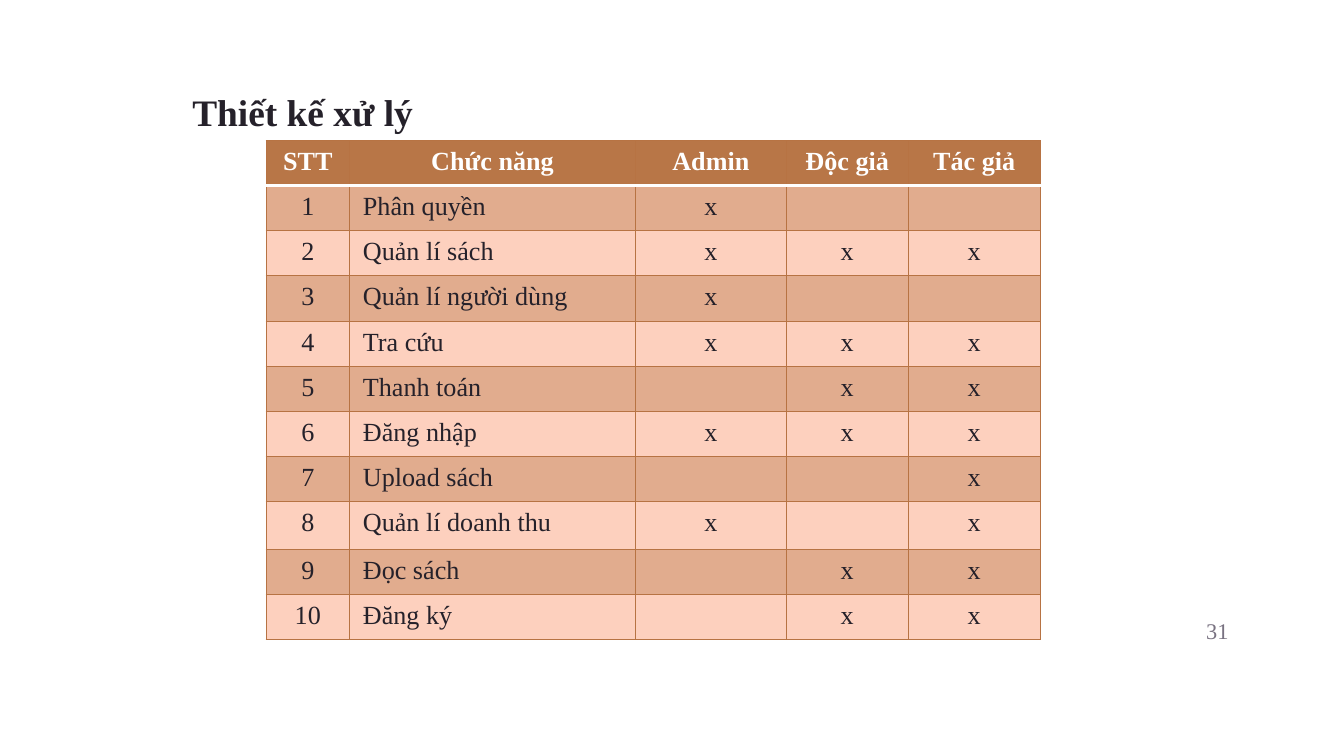
from dataclasses import dataclass

from lxml import etree
from pptx import Presentation
from pptx.dml.color import RGBColor
from pptx.enum import text
from pptx.oxml import ns
from pptx.util import Pt


@dataclass(frozen=True)
class Theme:
    face: str = "Times New Roman"
    ink: str = "25212A"
    grey: str = "797281"
    white: str = "FFFFFF"
    head: str = "B87647"
    dark: str = "E1AC8E"
    light: str = "FDD0BE"
    edge: str = "B77343"
    title: int = 20
    body: int = 14
    page: int = 12
    thin: float = 0.75
    thick: float = 2


@dataclass(frozen=True)
class Box:
    left: float
    top: float
    width: float
    height: float

    def lengths(self) -> tuple:
        return Pt(self.left), Pt(self.top), Pt(self.width), Pt(self.height)


@dataclass(frozen=True)
class Task:
    name: str
    marks: str
    height: float = 24.1


THEME = Theme()
LEFT, MID, RIGHT = text.PP_ALIGN.LEFT, text.PP_ALIGN.CENTER, text.PP_ALIGN.RIGHT
TITLE = Box(95.8, 43.9, 171.4, 31.7)
PAGE = Box(622, 322.5, 43.2, 31)
GRID = Box(142.6, 75.4, 414.7, 266.7)
COLS = (44.6, 153.4, 80.6, 65.5, 70.6)
HEADS = ("STT", "Chức năng", "Admin", "Độc giả", "Tác giả")
TASKS = (
    Task("Phân quyền", "x--"),
    Task("Quản lí sách", "xxx"),
    Task("Quản lí người dùng", "x--", 24.6),
    Task("Tra cứu", "xxx"),
    Task("Thanh toán", "-xx"),
    Task("Đăng nhập", "xxx"),
    Task("Upload sách", "--x"),
    Task("Quản lí doanh thu", "x-x", 25.7),
    Task("Đọc sách", "-xx"),
    Task("Đăng ký", "-xx"),
)


def write(par, words: str, size: float, color: str, bold: bool, align) -> None:
    par.alignment = align
    run = par.add_run()
    run.text = words
    font = run.font
    font.name, font.size, font.bold = THEME.face, Pt(size), bold
    font.color.rgb = RGBColor.from_string(color)


def border(cell, side: int, tag: str, color: str, width: float) -> None:
    line = etree.Element(ns.qn(f"a:{tag}"), w=str(Pt(width)))
    fill = etree.SubElement(line, ns.qn("a:solidFill"))
    etree.SubElement(fill, ns.qn("a:srgbClr"), val=color)
    cell._tc.get_or_add_tcPr().insert(side, line)


def paint(cell, row: int, col: int, words: str) -> None:
    top = row == 0
    cell.fill.solid()
    shade = THEME.head if top else THEME.dark if row % 2 else THEME.light
    cell.fill.fore_color.rgb = RGBColor.from_string(shade)
    par = cell.text_frame.paragraphs[0]
    if words:
        align = LEFT if col == 1 and not top else MID
        write(par, words, THEME.body, THEME.white if top else THEME.ink, top, align)
    else:
        etree.SubElement(par._p, ns.qn("a:endParaRPr"), sz=str(THEME.body * 100))
    for side, tag in enumerate(("lnL", "lnR", "lnT", "lnB")):
        rule = (row, tag) in ((0, "lnB"), (1, "lnT"))
        color = THEME.white if rule else THEME.edge
        border(cell, side, tag, color, THEME.thick if rule else THEME.thin)


def table(slide) -> None:
    rows = [HEADS] + [
        (str(num), task.name, *task.marks.replace("-", " "))
        for num, task in enumerate(TASKS, 1)
    ]
    grid = slide.shapes.add_table(len(rows), len(COLS), *GRID.lengths()).table
    grid.first_row = True
    grid.horz_banding = False
    for col, width in zip(grid.columns, COLS):
        col.width = Pt(width)
    for row, height in zip(grid.rows, (24.1, *(task.height for task in TASKS))):
        row.height = Pt(height)
    for r, row in enumerate(rows):
        for c, words in enumerate(row):
            paint(grid.cell(r, c), r, c, words.strip())


def title(slide) -> None:
    shape = slide.shapes.title
    shape.left, shape.top, shape.width, shape.height = TITLE.lengths()
    frame = shape.text_frame
    frame.auto_size = text.MSO_AUTO_SIZE.NONE
    frame.vertical_anchor = text.MSO_ANCHOR.TOP
    write(frame.paragraphs[0], "Thiết kế xử lý", THEME.title, THEME.ink, True, LEFT)


def page(slide) -> None:
    frame = slide.shapes.add_textbox(*PAGE.lengths()).text_frame
    frame.word_wrap = True
    frame.vertical_anchor = text.MSO_ANCHOR.MIDDLE
    frame.margin_left = frame.margin_right = Pt(7.2)
    frame.margin_top = frame.margin_bottom = Pt(7.2)
    write(frame.paragraphs[0], "31", THEME.page, THEME.grey, False, RIGHT)


def main() -> None:
    deck = Presentation()
    deck.slide_width, deck.slide_height = Pt(720), Pt(405)
    slide = deck.slides.add_slide(deck.slide_layouts[5])
    page(slide)
    title(slide)
    table(slide)
    deck.save("out.pptx")


if __name__ == "__main__":
    main()
